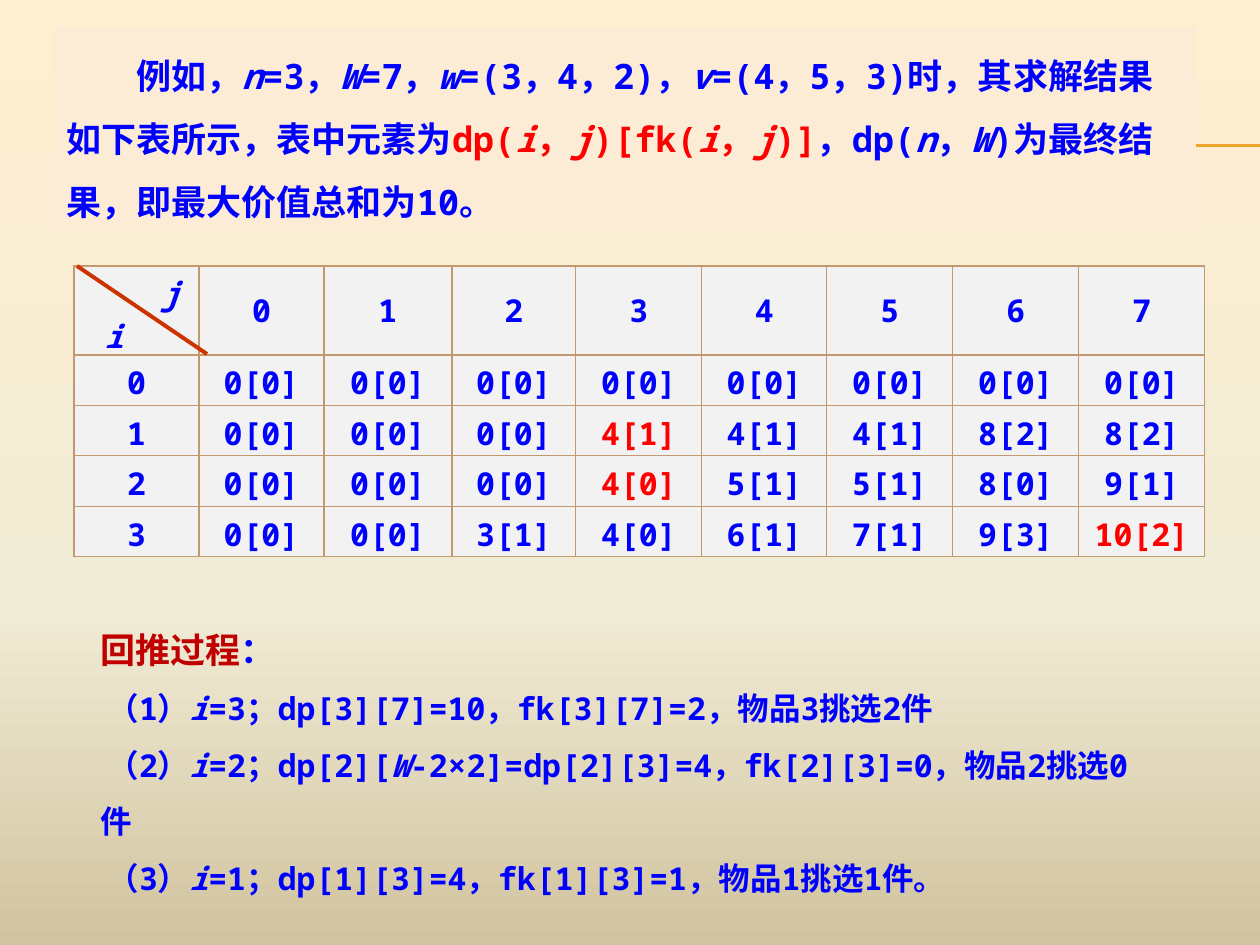
from copy import deepcopy

from lxml import etree
from pptx import Presentation
from pptx import util as u
from pptx.dml.color import RGBColor
from pptx.enum import shapes, text
from pptx.oxml import ns

SCALE = 914400 / 126
FONT = "Noto Sans Mono"
BLUE, RED, DARK_RED = "0000FF", "FF0000", "C00000"
BACKGROUND = [(0, "FFEFD1"), (0.65, "F0EBD5"), (1, "D1C39F")]
COLUMNS = [125, 125, 128, 124, 126, 125, 126, 126, 126]
ROWS = [89, 50, 50, 50, 50]
VALUES = [
    ["", "0", "1", "2", "3", "4", "5", "6", "7"],
    ["0"] + ["0[0]"] * 8,
    ["1", "0[0]", "0[0]", "0[0]", "4[1]", "4[1]", "4[1]", "8[2]", "8[2]"],
    ["2", "0[0]", "0[0]", "0[0]", "4[0]", "5[1]", "5[1]", "8[0]", "9[1]"],
    ["3", "0[0]", "0[0]", "3[1]", "4[0]", "6[1]", "7[1]", "9[3]", "10[2]"],
]
TRACED = {(2, 4), (3, 4), (4, 8)}
EXAMPLE = [
    (BLUE, "例如，*n*=3，*W*=7，*w*=(3，4，2)，*v*=(4，5，3)时，其求解结果如下表所示，表中元素为"),
    (RED, "dp(*i*，*j*)[fk(*i*，*j*)]"),
    (BLUE, "，dp(*n*，*W*)为最终结果，即最大价值总和为10。"),
]
STEPS = [
    " （1）*i*=3；dp[3][7]=10，fk[3][7]=2，物品3挑选2件",
    " （2）*i*=2；dp[2][*W*-2×2]=dp[2][3]=4，fk[2][3]=0，物品2挑选0件",
    " （3）*i*=1；dp[1][3]=4，fk[1][3]=1，物品1挑选1件。",
]


def px(length):
    """Turn px into EMU."""
    return u.Emu(round(length * SCALE))


def rgb(colour):
    """Turn a hex string into a colour."""
    return RGBColor.from_string(colour)


def paint_background(page):
    """Fill the page with the vertical three-colour gradient."""
    fill = page.background.fill
    fill.gradient()
    fill.gradient_angle = 270
    stops = page.element.find(".//" + ns.qn("a:gsLst"))
    stops.append(deepcopy(stops[0]))
    for stop, (position, colour) in zip(fill.gradient_stops, BACKGROUND):
        stop.position = position
        stop.color.rgb = rgb(colour)


def add_line(page, start, end, colour, width):
    """Draw a straight line without a shadow."""
    line = page.shapes.add_connector(
        shapes.MSO_CONNECTOR.STRAIGHT, *map(px, start + end))
    line.line.color.rgb = rgb(colour)
    line.line.width = u.Pt(width)
    etree.SubElement(line._element.spPr, ns.qn("a:effectLst"))


def write(para, parts, size, indent=0, spacing=None):
    """Write coloured parts, with italics between asterisks."""
    para.alignment = text.PP_ALIGN.LEFT
    para.line_spacing = spacing
    if indent:
        para._p.get_or_add_pPr().set("indent", str(px(indent)))
    for colour, content in parts:
        for number, piece in enumerate(content.split("*")):
            if piece:
                span = para.add_run()
                span.text = piece
                span.font.name = FONT
                span.font.size = u.Pt(size)
                span.font.bold = True
                span.font.italic = number % 2 == 1
                span.font.color.rgb = rgb(colour)


def prepare_frame(box):
    """Make a box wrap its text from the top and return its frame."""
    frame = box.text_frame
    frame.word_wrap = True
    frame.auto_size = text.MSO_AUTO_SIZE.SHAPE_TO_FIT_TEXT
    frame.vertical_anchor = text.MSO_ANCHOR.TOP
    return frame


def add_example(page):
    """Add the filled box that states the example."""
    box = page.shapes.add_shape(
        shapes.MSO_SHAPE.RECTANGLE, px(54), px(27), px(1142), px(204))
    box.shadow.inherit = False
    box.fill.solid()
    box.fill.fore_color.rgb = rgb("FCECD5")
    box.line.fill.background()
    write(prepare_frame(box).paragraphs[0], EXAMPLE, 20, 70, 1.5)


def add_steps(page):
    """Add the heading and the steps that trace back the choices."""
    box = page.shapes.add_textbox(px(88), px(601), px(1064), px(248))
    frame = prepare_frame(box)
    heading = [(DARK_RED, "回推过程"), (BLUE, "：")]
    write(frame.paragraphs[0], heading, 20, spacing=1.5)
    for step in STEPS:
        write(frame.add_paragraph(), [(BLUE, step)], 18, spacing=1.5)


def style_cell(cell):
    """Fill a cell and draw its four borders."""
    properties = cell._tc.get_or_add_tcPr()
    for side in ("a:lnL", "a:lnR", "a:lnT", "a:lnB"):
        border = etree.SubElement(properties, ns.qn(side), w=str(u.Pt(0.79)))
        solid = etree.SubElement(border, ns.qn("a:solidFill"))
        etree.SubElement(solid, ns.qn("a:srgbClr"), val="C3986D")
    cell.fill.solid()
    cell.fill.fore_color.rgb = rgb("F2F2F2")


def add_results(page):
    """Add the table of dp and fk values."""
    table = page.shapes.add_table(
        len(ROWS), len(COLUMNS), px(74), px(266),
        px(sum(COLUMNS)), px(sum(ROWS))).table
    table.first_row = table.horz_banding = False
    for column, width in zip(table.columns, COLUMNS):
        column.width = px(width)
    for row, height in zip(table.rows, ROWS):
        row.height = px(height)
    for i, values in enumerate(VALUES):
        for j, value in enumerate(values):
            cell = table.cell(i, j)
            style_cell(cell)
            if value:
                para = cell.text_frame.paragraphs[0]
                write(para, [(RED if (i, j) in TRACED else BLUE, value)], 18)
                para.alignment = text.PP_ALIGN.CENTER
                if i == 0:
                    cell.vertical_anchor = text.MSO_ANCHOR.MIDDLE
    corner = table.cell(0, 0).text_frame
    write(corner.paragraphs[0], [(BLUE, "*j*")], 18, 75)
    write(corner.add_paragraph(), [(BLUE, "*i*")], 18, 18)


def main():
    """Build the slide and save it."""
    deck = Presentation()
    deck.slide_width, deck.slide_height = px(1260), px(945)
    page = deck.slides.add_slide(deck.slide_layouts[6])
    paint_background(page)
    for y in (145, 146):
        add_line(page, (70, y), (1260, y), "F0A22E", 0.75)
    add_example(page)
    add_results(page)
    add_line(page, (77, 266), (207, 354), "CC3300", 2.25)
    add_steps(page)
    deck.save("out.pptx")


if __name__ == "__main__":
    main()
